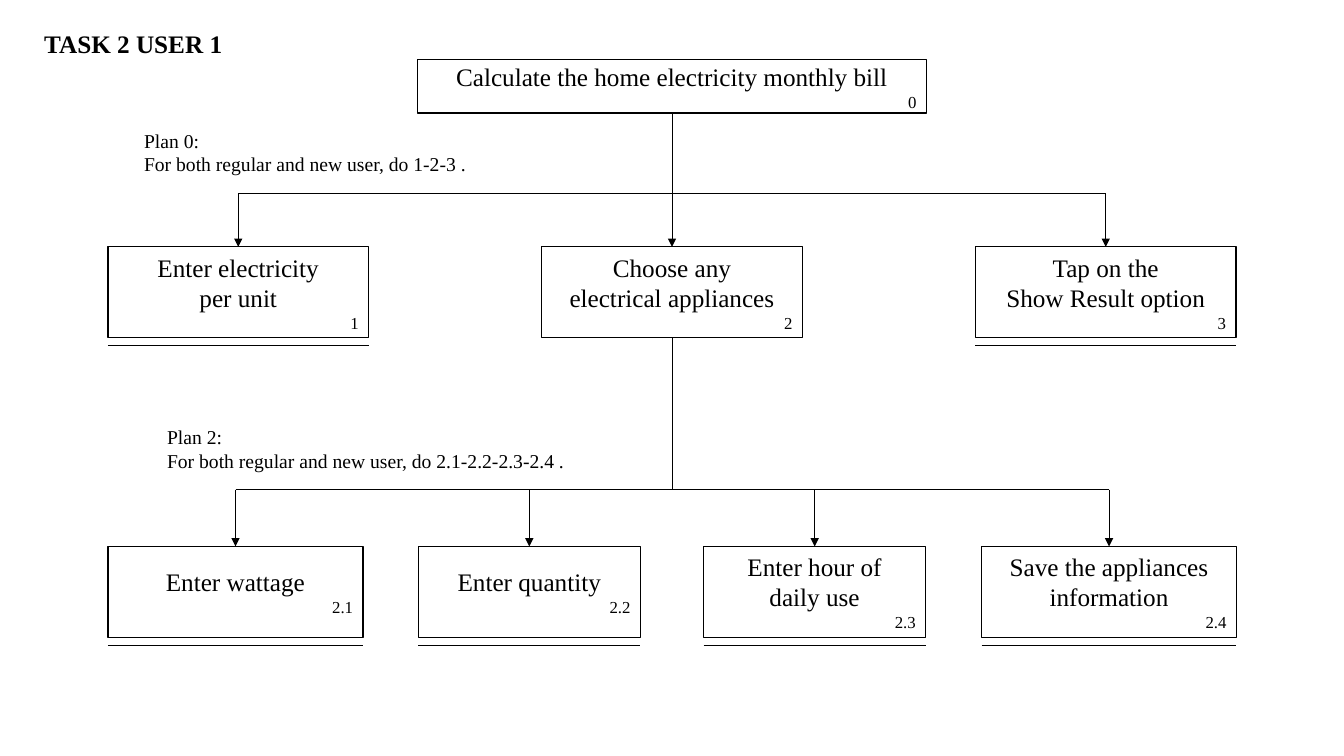
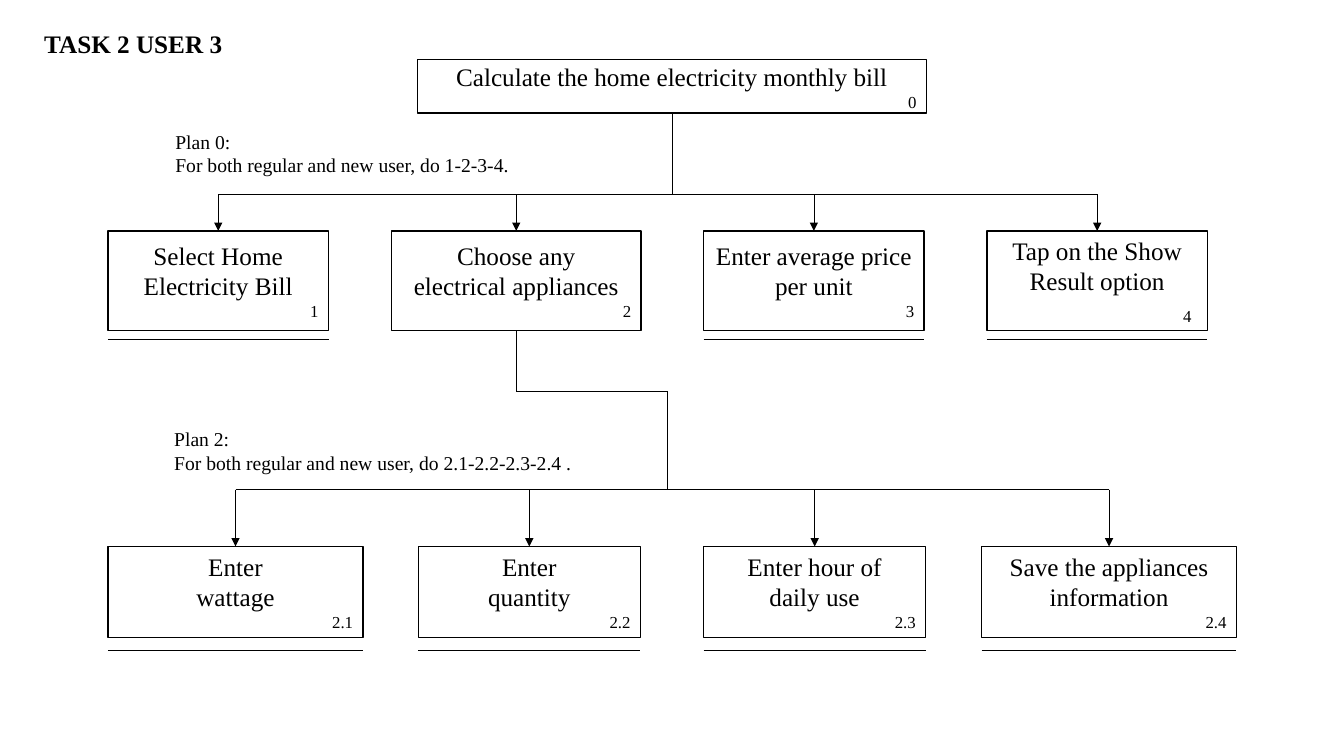
"""Build two hierarchical task analysis slides for the electricity bill task."""
from dataclasses import dataclass
from itertools import pairwise

from lxml import etree
from pptx import Presentation
from pptx.dml.color import RGBColor
from pptx.enum import shapes, text
from pptx.oxml import ns
from pptx.util import Cm, Pt

COLORS = {"ink": "000000", "paper": "FFFFFF"}
FONT = "Times New Roman"
ROOT_TEXT = "Calculate the home electricity monthly bill"


@dataclass(frozen=True)
class Task:
    left: float
    width: float
    lines: tuple[str, ...]
    number: str
    leaf: bool = True
    number_gap: float = 0
    number_indent: float = 0

    @property
    def center(self) -> float:
        return self.left + self.width / 2


@dataclass(frozen=True)
class Plan:
    left: float
    top: float
    lines: tuple[str, ...]


@dataclass(frozen=True)
class Row:
    top: float
    height: float
    bus: float
    rule_gap: float
    trunk: tuple[tuple[float, float], ...]
    plan: Plan
    tasks: tuple[Task, ...]


@dataclass(frozen=True)
class Diagram:
    title: str
    rows: tuple[Row, ...]


ROOT = Task(10.52, 12.83, (ROOT_TEXT,), "0", leaf=False)
ROOT_TOP, ROOT_HEIGHT = 1.5, 1.35
ROOT_EXIT = (ROOT.center, ROOT_TOP + ROOT_HEIGHT)
DETAIL_BUS = 12.34


def color(name: str) -> RGBColor:
    return RGBColor.from_string(COLORS[name])


def write(p, content: str, *, size: float = 18, bold: bool = False,
          align=text.PP_ALIGN.LEFT, before: float = 0) -> None:
    p.alignment = align
    if before:
        p.space_before = Pt(before)
    r = p.add_run()
    r.text = content
    r.font.name = FONT
    r.font.size = Pt(size)
    r.font.bold = bold
    r.font.color.rgb = color("ink")


def next_paragraph(tf, index: int):
    return tf.add_paragraph() if index else tf.paragraphs[0]


def add_line(s, start: tuple[float, float], end: tuple[float, float],
             *, arrow: bool = False) -> None:
    c = s.shapes.add_connector(shapes.MSO_CONNECTOR.STRAIGHT,
                               *(Cm(v) for v in start + end))
    c.line.color.rgb = color("ink")
    c.line.width = Pt(0.5)
    if arrow:
        etree.SubElement(c.line._get_or_add_ln(), ns.qn("a:tailEnd"), type="triangle")
    etree.SubElement(c._element.spPr, ns.qn("a:effectLst"))


def add_task(s, task: Task, top: float, height: float) -> None:
    sp = s.shapes.add_shape(shapes.MSO_SHAPE.RECTANGLE, Cm(task.left), Cm(top),
                            Cm(task.width), Cm(height))
    sp.shadow.inherit = False
    sp.fill.solid()
    sp.fill.fore_color.rgb = color("paper")
    sp.line.color.rgb = color("ink")
    sp.line.width = Pt(1)
    tf = sp.text_frame
    tf.word_wrap = True
    tf.vertical_anchor = text.MSO_ANCHOR.MIDDLE
    tf.margin_top = tf.margin_bottom = 0
    for i, content in enumerate(task.lines):
        write(next_paragraph(tf, i), content, align=text.PP_ALIGN.CENTER)
    p = tf.add_paragraph()
    write(p, task.number, size=12, align=text.PP_ALIGN.RIGHT, before=task.number_gap)
    if task.number_indent:
        p._p.get_or_add_pPr().set("marR", str(Cm(task.number_indent)))


def add_plan(s, plan: Plan) -> None:
    sp = s.shapes.add_textbox(Cm(plan.left), Cm(plan.top), Cm(11), Cm(1.45))
    tf = sp.text_frame
    tf.word_wrap = True
    for i, content in enumerate(plan.lines):
        write(next_paragraph(tf, i), content, size=14)


def add_title(s, content: str) -> None:
    sp = s.shapes.title
    sp.left, sp.top, sp.width, sp.height = Cm(0.86), Cm(0.58), Cm(6), Cm(1.02)
    tf = sp.text_frame
    tf.auto_size = text.MSO_AUTO_SIZE.NONE
    tf.vertical_anchor = text.MSO_ANCHOR.TOP
    write(tf.paragraphs[0], content, bold=True)


def add_row(s, row: Row) -> None:
    for start, end in pairwise(row.trunk):
        add_line(s, start, end)
    add_line(s, (row.tasks[0].center, row.bus), (row.tasks[-1].center, row.bus))
    rule = row.top + row.height + row.rule_gap
    for task in row.tasks:
        add_task(s, task, row.top, row.height)
        add_line(s, (task.center, row.bus), (task.center, row.top), arrow=True)
        if task.leaf:
            add_line(s, (task.left, rule), (task.left + task.width, rule))
    add_plan(s, row.plan)


def add_diagram(prs, diagram: Diagram) -> None:
    s = prs.slides.add_slide(prs.slide_layouts[5])
    add_title(s, diagram.title)
    add_task(s, ROOT, ROOT_TOP, ROOT_HEIGHT)
    for row in diagram.rows:
        add_row(s, row)


def detail_row(wattage: tuple[str, ...], quantity: tuple[str, ...], *, rule_gap: float,
               plan_at: tuple[float, float],
               trunk: tuple[tuple[float, float], ...]) -> Row:
    plan = Plan(*plan_at, ("Plan 2:", "For both regular and new user, do 2.1-2.2-2.3-2.4 ."))
    tasks = (
        Task(2.72, 6.43, wattage, "2.1"),
        Task(10.54, 5.6, quantity, "2.2"),
        Task(17.73, 5.6, ("Enter hour of", "daily use"), "2.3"),
        Task(24.74, 6.42, ("Save the appliances information",), "2.4"),
    )
    return Row(13.77, 2.29, DETAIL_BUS, rule_gap, trunk, plan, tasks)


def user_1() -> Diagram:
    bus, top, height, pitch = 4.87, 6.22, 2.29, 10.93
    steps = (("Enter electricity", "per unit"),
             ("Choose any", "electrical appliances"),
             ("Tap on the", "Show Result option"))
    tasks = tuple(Task(2.72 + i * pitch, 6.57, lines, str(i + 1), leaf=i != 1)
                  for i, lines in enumerate(steps))
    main_row = Row(top, height, bus, 0.19, (ROOT_EXIT, (ROOT.center, bus)),
                   Plan(3.38, 3.12, ("Plan 0:", "For both regular and new user, do 1-2-3 .")),
                   tasks)
    x = tasks[1].center
    details = detail_row(("Enter wattage",), ("Enter quantity",), rule_gap=0.19,
                         plan_at=(3.96, 10.59),
                         trunk=((x, top + height), (x, DETAIL_BUS)))
    return Diagram("TASK 2 USER 1", (main_row, details))


def user_3() -> Diagram:
    bus, top, height, width = 4.9, 5.82, 2.51, 5.56
    tasks = (
        Task(2.72, width, ("Select Home Electricity Bill",), "1"),
        Task(9.86, 6.3, ("Choose any", "electrical appliances"), "2", leaf=False),
        Task(17.73, width, ("Enter average price per unit",), "3"),
        Task(24.87, width, ("Tap on the Show Result option",), "4",
             number_gap=7, number_indent=0.15),
    )
    main_row = Row(top, height, bus, 0.23, (ROOT_EXIT, (ROOT.center, bus)),
                   Plan(4.17, 3.14, ("Plan 0:", "For both regular and new user, do 1-2-3-4.")),
                   tasks)
    x, turn_x, turn_y = tasks[1].center, 16.81, 9.86
    details = detail_row(("Enter", "wattage"), ("Enter", "quantity"), rule_gap=0.33,
                         plan_at=(4.14, 10.64),
                         trunk=((x, top + height), (x, turn_y),
                                (turn_x, turn_y), (turn_x, DETAIL_BUS)))
    return Diagram("TASK 2 USER 3", (main_row, details))


def main() -> None:
    prs = Presentation()
    prs.slide_width, prs.slide_height = Cm(33.87), Cm(19.05)
    for diagram in (user_1(), user_3()):
        add_diagram(prs, diagram)
    prs.save("out.pptx")


if __name__ == "__main__":
    main()
